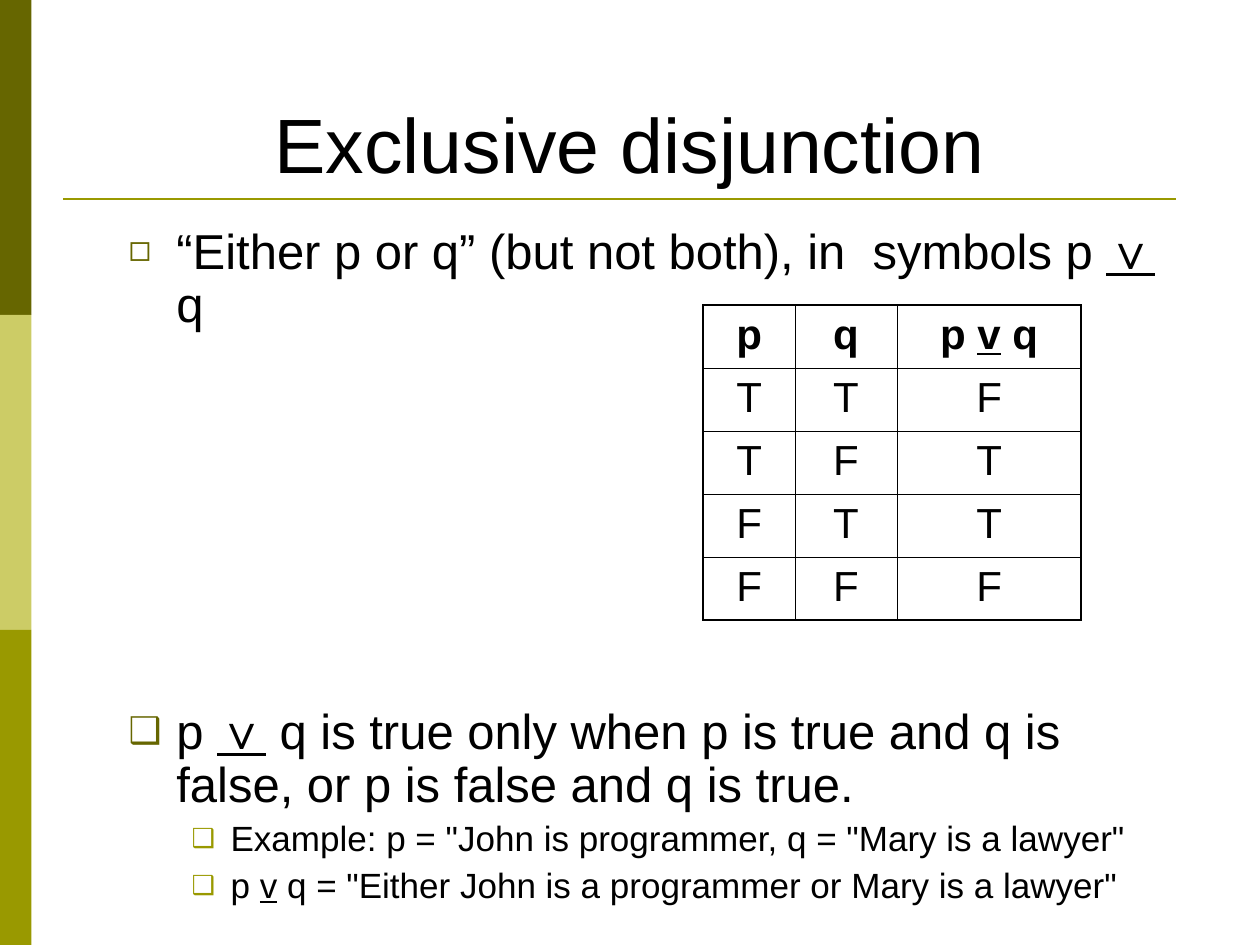
from lxml import etree
from pptx import Presentation
from pptx import util as u
from pptx.dml.color import RGBColor
from pptx.enum import shapes, text
from pptx.oxml.ns import qn

BARS = ["666600", "CCCC66", "999900"]
TITLE = "Exclusive disjunction"
BODY = [
    (0, "◻", 0, "“Either p or q” (but not both), in  symbols p _∨_ q"),
    (0, "❑", 214, "p _∨_ q is true only when p is true and q is false, or p is false and q is true."),
    (1, "❑", 5, 'Example: p = "John is programmer, q = "Mary is a lawyer"'),
    (1, "❑", 5, 'p _v_ q = "Either John is a programmer or Mary is a lawyer"'),
]
LEVELS = [
    dict(size=28, left=0.38, hang=0.38, color="666600"),
    dict(size=20, left=0.81, hang=0.31, color="999900"),
]
TRUTH = [
    ["p", "q", "p _v_ q"],
    ["T", "T", "F"],
    ["T", "F", "T"],
    ["F", "T", "T"],
    ["F", "F", "F"],
]
COLS = [0.73, 0.81, 1.46]
ROW = 0.5
THICK, THIN = 1.08, 0.45


def rgb(code):
    return RGBColor.from_string(code)


def place(shape, left, top, width, height):
    shape.left, shape.top = u.Inches(left), u.Inches(top)
    shape.width, shape.height = u.Inches(width), u.Inches(height)


def add(node, tag, **attrs):
    child = etree.SubElement(node, qn(tag))
    for key, val in attrs.items():
        child.set(key, str(val))
    return child


def write(para, words, size, bold=False):
    for i, part in enumerate(words.split("_")):
        run = para.add_run()
        run.text = part
        if i % 2:
            run.font.underline = True
    font = para.font
    font.name, font.size, font.bold = "Arial", u.Pt(size), bold
    font.color.rgb = rgb("000000")


def bullet(para, mark, left, hang, color):
    props = para._p.get_or_add_pPr()
    props.set("marL", str(u.Inches(left)))
    props.set("indent", str(-u.Inches(hang)))
    add(add(props, "a:buClr"), "a:srgbClr", val=color)
    add(props, "a:buSzPct", val=75000)
    add(props, "a:buFont", typeface="Arial")
    add(props, "a:buChar", char=mark)


def border(cell, side, width):
    line = add(cell._tc.get_or_add_tcPr(), "a:ln" + side, w=u.Pt(width))
    add(add(line, "a:solidFill"), "a:srgbClr", val="000000")


def decorate(slide, wide, high):
    step = high / len(BARS)
    for i, color in enumerate(BARS):
        bar = slide.shapes.add_shape(
            shapes.MSO_SHAPE.RECTANGLE, 0, int(i * step), int(wide / 40), int(step))
        bar.shadow.inherit = False
        bar.fill.solid()
        bar.fill.fore_color.rgb = rgb(color)
        bar.line.fill.background()
    rule = slide.shapes.add_connector(
        shapes.MSO_CONNECTOR.STRAIGHT,
        u.Inches(0.5), u.Inches(1.58), u.Inches(9.33), u.Inches(1.58))
    rule.line.color.rgb = rgb(BARS[2])
    rule.line.width = u.Pt(1.5)
    add(rule._element.spPr, "a:effectLst")


def fill_text(slide):
    title, body = slide.placeholders
    place(title, 0.5, 0.3, 9, 1.25)
    place(body, 0.92, 1.75, 8.58, 5.5)
    for box in (title, body):
        box.text_frame.word_wrap = True
        box.text_frame.auto_size = text.MSO_AUTO_SIZE.NONE
    title.text_frame.vertical_anchor = text.MSO_ANCHOR.BOTTOM
    head = title.text_frame.paragraphs[0]
    head.alignment = text.PP_ALIGN.CENTER
    write(head, TITLE, 44)
    frame = body.text_frame
    for i, (level, mark, gap, words) in enumerate(BODY):
        para = frame.add_paragraph() if i else frame.paragraphs[0]
        look = LEVELS[level]
        para.level = level
        para.line_spacing = 0.9
        para.space_before = u.Pt(gap)
        bullet(para, mark, look["left"], look["hang"], look["color"])
        write(para, words, look["size"])


def fill_table(slide):
    rows, cols = len(TRUTH), len(COLS)
    table = slide.shapes.add_table(
        rows, cols, u.Inches(5.58), u.Inches(2.42),
        u.Inches(sum(COLS)), u.Inches(ROW * rows)).table
    table.first_row = table.horz_banding = False
    for col, width in zip(table.columns, COLS):
        col.width = u.Inches(width)
    for r, line in enumerate(TRUTH):
        for c, words in enumerate(line):
            cell = table.cell(r, c)
            edges = dict(L=c == 0, R=c == cols - 1, T=r == 0, B=r == rows - 1)
            for side, outer in edges.items():
                border(cell, side, THICK if outer else THIN)
            cell.fill.background()
            para = cell.text_frame.paragraphs[0]
            para.alignment = text.PP_ALIGN.CENTER
            write(para, words, 24, bold=r == 0)


def main():
    deck = Presentation()
    deck.slide_width, deck.slide_height = u.Inches(10), u.Inches(7.5)
    slide = deck.slides.add_slide(deck.slide_layouts[1])
    decorate(slide, deck.slide_width, deck.slide_height)
    fill_text(slide)
    fill_table(slide)
    deck.save("out.pptx")


if __name__ == "__main__":
    main()
